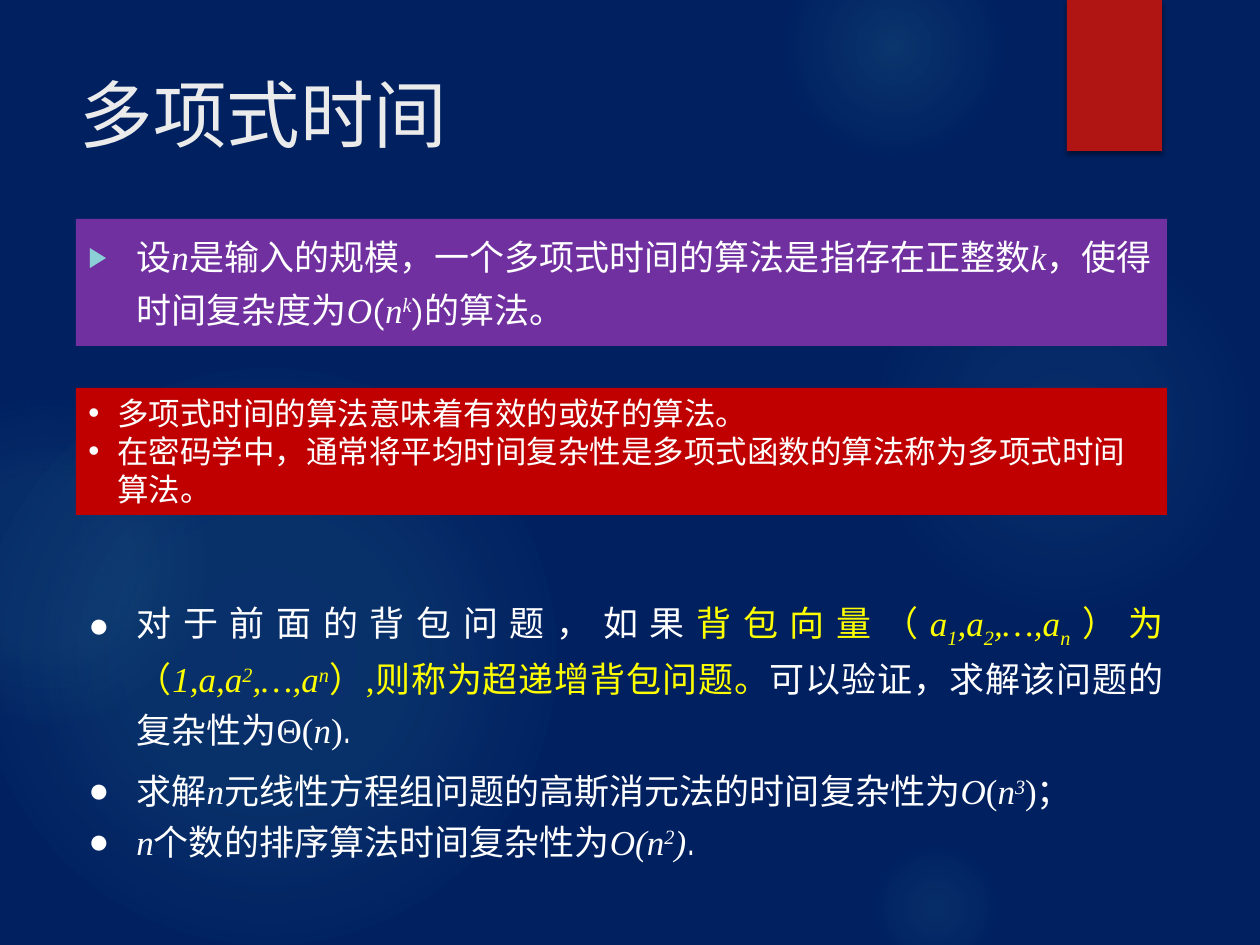
import pptx
import pptx.util
import pptx.dml.color
import pptx.enum.shapes
import pptx.enum.text
import pptx.oxml
import pptx.oxml.ns

SCALE = 914400 / 126
SANS, SERIF = "TeX Gyre Adventor", "Times New Roman"
WHITE, YELLOW = "FFFFFF", "FFFF00"
ALIGN = pptx.enum.text.PP_ALIGN
SHAPE = pptx.enum.shapes.MSO_SHAPE
PLAIN = {"name": SANS, "italic": False}
UPRIGHT = {"name": SERIF, "italic": False}
MATH = {"name": SERIF, "italic": True}
SUP = {**MATH, "baseline": 30000}
SUB = {**MATH, "baseline": -25000}

GLOWS = [
    ((868, 231, 388, 388), ((0, 7), (36, 6), (69, 0))),
    ((784, -63, 220, 220), ((0, 14), (36, 7), (73, 0))),
    ((868, 840, 136, 136), ((0, 9), (36, 5), (66, 0))),
    ((-21, 368, 577, 577), ((0, 11), (36, 10), (75, 0))),
    ((-116, 399, 325, 325), ((0, 8), (36, 8), (72, 0))),
]

DEFINITION = [[
    ("设", PLAIN), ("n", MATH),
    ("是输入的规模，一个多项式时间的算法是指存在正整数", PLAIN), ("k", MATH),
    ("，使得时间复杂度为", PLAIN), ("O", MATH), ("(", PLAIN), ("n", MATH),
    ("k", SUP), (")的算法。", PLAIN),
]]
REMARKS = [
    [("多项式时间的算法意味着有效的或好的算法。", PLAIN)],
    [("在密码学中，通常将平均时间复杂性是多项式函数的算法称为多项式时间算法。", PLAIN)],
]
VECTOR = [
    ("背包向量（", UPRIGHT), ("a", MATH), ("1", SUB), (",a", MATH), ("2", SUB),
    (",…,a", MATH), ("n", SUB), ("）为（", UPRIGHT), ("1,a,a", MATH), ("2", SUP),
    (",…,a", MATH), ("n", SUP), ("）,则称为超递增背包问题。", UPRIGHT),
]
KNAPSACK = [[
    ("对于前面的背包问题，如果", PLAIN),
    *[(text, {**style, "color": YELLOW}) for text, style in VECTOR],
    ("可以验证，求解该问题的复杂性为", PLAIN),
    ("Θ(", UPRIGHT), ("n", MATH), (")", UPRIGHT), (".", PLAIN),
]]
EXAMPLES = [
    [("求解", PLAIN), ("n", MATH), ("元线性方程组问题的高斯消元法的时间复杂性为", PLAIN),
     ("O", MATH), ("(", UPRIGHT), ("n", MATH), ("3", SUP), (")", UPRIGHT), ("；", PLAIN)],
    [("n", MATH), ("个数的排序算法时间复杂性为", PLAIN), ("O(n", MATH), ("2", SUP),
     (")", MATH), (".", PLAIN)],
]


def px(length):
    """Turn pixels into EMU."""
    return round(length * SCALE)


def color(value):
    """Turn a hex string into a colour."""
    return pptx.dml.color.RGBColor.from_string(value)


def element(markup):
    """Build a drawing element from markup."""
    head, tail = markup.split(" ", 1)
    return pptx.oxml.parse_xml(f"{head} {pptx.oxml.ns.nsdecls('a')} {tail}")


def add_block(page, box, kind=SHAPE.RECTANGLE, fill=None):
    """Add a shape without outline or shadow."""
    block = page.shapes.add_shape(kind, *map(px, box))
    block.shadow.inherit = False
    block.line.fill.background()
    if fill:
        block.fill.solid()
        block.fill.fore_color.rgb = color(fill)
    else:
        block.fill.background()
    return block


def add_glow(page, box, stops):
    """Add a round glow that fades outwards."""
    glow = add_block(page, box, SHAPE.OVAL)
    marks = "".join(
        f'<a:gs pos="{at * 1000}"><a:srgbClr val="50B9C1">'
        f'<a:alpha val="{alpha * 1000}"/></a:srgbClr></a:gs>' for at, alpha in stops)
    properties = glow._element.spPr
    empty = properties.find(pptx.oxml.ns.qn("a:noFill"))
    properties.replace(empty, element(
        f'<a:gradFill rotWithShape="1"><a:gsLst>{marks}</a:gsLst><a:path path="circle">'
        '<a:fillToRect l="50000" t="50000" r="50000" b="50000"/></a:path></a:gradFill>'))


def add_ribbon(page, box):
    """Add the red ribbon with its soft shadow."""
    ribbon = add_block(page, box, fill="B01513")
    effects = ribbon._element.spPr.find(pptx.oxml.ns.qn("a:effectLst"))
    effects.append(element(
        '<a:outerShdw blurRad="38100" dist="25400" dir="5400000" rotWithShape="0">'
        '<a:srgbClr val="000000"><a:alpha val="45000"/></a:srgbClr></a:outerShdw>'))


def add_span(para, text, size, style):
    """Add one run of text in the given style."""
    span = para.add_run()
    span.text = text
    span.font.size = pptx.util.Pt(size)
    span.font.color.rgb = color(style.get("color", WHITE))
    for name in ("name", "italic"):
        setattr(span.font, name, style[name])
    if "baseline" in style:
        span._r.get_or_add_rPr().set("baseline", str(style["baseline"]))


def add_bullet(para, bullet, indent, tint=None, percent=100):
    """Give a paragraph a hanging bullet."""
    properties = para._p.get_or_add_pPr()
    properties.set("marL", str(px(indent)))
    properties.set("indent", str(-px(indent)))
    if tint:
        properties.append(element(f'<a:buClr ><a:srgbClr val="{tint}"/></a:buClr>'))
    properties.append(element(f'<a:buSzPct val="{percent * 1000}"/>'))
    properties.append(element('<a:buFont typeface="Arial"/>'))
    properties.append(element(f'<a:buChar char="{bullet}"/>'))


def add_list(page, box, paragraphs, size, bullet, form, fill=None):
    """Add a bulleted list, on a coloured panel if a fill is given."""
    if fill:
        panel = add_block(page, box, fill=fill)
    else:
        panel = page.shapes.add_textbox(*map(px, box))
    frame = panel.text_frame
    frame.word_wrap = True
    frame.vertical_anchor = pptx.enum.text.MSO_ANCHOR.TOP
    for index, spans in enumerate(paragraphs):
        para = frame.add_paragraph() if index else frame.paragraphs[0]
        for name, value in form.items():
            setattr(para, name, value)
        add_bullet(para, **bullet)
        for text, style in spans:
            add_span(para, text, size, style)


def set_title(page, box, text):
    """Place and format the title."""
    title = page.shapes.title
    for name, length in zip(("left", "top", "width", "height"), box):
        setattr(title, name, px(length))
    title.text_frame.vertical_anchor = pptx.enum.text.MSO_ANCHOR.TOP
    para = title.text_frame.paragraphs[0]
    para.alignment = ALIGN.LEFT
    add_span(para, text, 42, {**PLAIN, "color": "EBEBEB"})


def main():
    """Build the slide and save it."""
    deck = pptx.Presentation()
    deck.slide_width, deck.slide_height = px(1260), px(945)
    page = deck.slides.add_slide(deck.slide_layouts[5])
    page.background.fill.solid()
    page.background.fill.fore_color.rgb = color("002060")
    for box, stops in GLOWS:
        add_glow(page, box, stops)
    add_ribbon(page, (1067, 0, 95, 151))
    set_title(page, (67, 63, 973, 193), "多项式时间")

    arrow = {"bullet": "▶", "indent": 48, "tint": "8AD0D6", "percent": 80}
    dot = {"bullet": "•", "indent": 29}
    disc = {"bullet": "●", "indent": 48}
    spaced = {"alignment": ALIGN.LEFT, "line_spacing": 1.25,
              "space_before": pptx.util.Pt(10)}
    justified = {"alignment": ALIGN.JUSTIFY, "line_spacing": 1.2}
    add_list(page, (76, 219, 1091, 127), DEFINITION, 20, arrow, spaced, "7030A0")
    add_list(page, (76, 388, 1091, 127), REMARKS, 18, dot,
             {"alignment": ALIGN.LEFT}, "C00000")
    add_list(page, (76, 586, 1100, 165), KNAPSACK, 20, disc, justified)
    add_list(page, (76, 755, 1017, 110), EXAMPLES, 20, disc, justified)
    deck.save("out.pptx")


if __name__ == "__main__":
    main()
